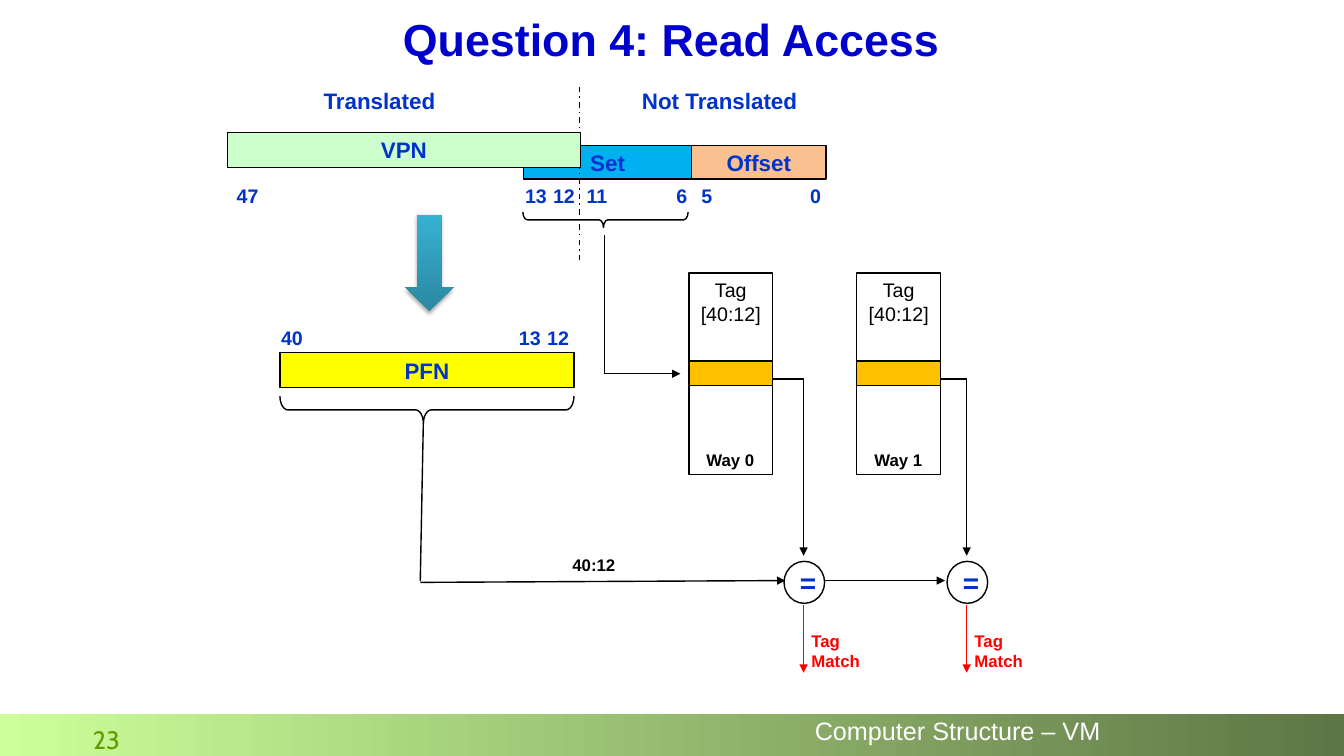
from lxml.etree import SubElement
from pptx import Presentation
from pptx.dml.color import RGBColor
from pptx.enum.dml import MSO_LINE
from pptx.enum.shapes import MSO_CONNECTOR, MSO_SHAPE
from pptx.enum.text import MSO_ANCHOR, MSO_AUTO_SIZE, PP_ALIGN
from pptx.oxml.ns import qn
from pptx.util import Pt

HUES = {
    "title": "0000CC", "blue": "0033CC", "black": "000000", "red": "FF0000",
    "white": "FFFFFF", "page": "669900", "offset": "FAC090", "set": "00B0F0",
    "vpn": "CCFFCC", "pfn": "FFFF00", "entry": "FFC000",
    "lime": "CCFF99", "moss": "5E7646", "teal": "2A88A2", "sky": "37B1D2",
}


def hue(name):
    """Return the named colour."""
    return RGBColor.from_string(HUES[name])


def assign(item, values):
    """Set each attribute of item from a dict."""
    for key, value in values.items():
        setattr(item, key, value)


class Board:
    """Holds the text style and the current slide."""

    base = {"name": "Arial", "bold": True}

    def __init__(self, slide):
        """Keep the slide to draw on."""
        self.slide = slide

    def letter(self, frame, text, size, color, align=PP_ALIGN.LEFT,
               space=None, **font):
        """Fill a text frame with styled paragraphs."""
        frame.text = text
        for para in frame.paragraphs:
            assign(para, {"alignment": align, "line_spacing": space})
            for run in para.runs:
                assign(run.font, {**self.base, "size": Pt(size), **font})
                run.font.color.rgb = hue(color)

    def title(self, text, *box):
        """Move and format the title placeholder."""
        head = self.slide.shapes.title
        assign(head, dict(zip(("left", "top", "width", "height"), map(Pt, box))))
        assign(head.text_frame, {
            "margin_left": 0, "margin_right": 0, "margin_top": 0,
            "margin_bottom": 0, "vertical_anchor": MSO_ANCHOR.MIDDLE,
            "word_wrap": True, "auto_size": MSO_AUTO_SIZE.NONE})
        self.letter(head.text_frame, text, 32, "title", PP_ALIGN.CENTER, 0.9)

    def label(self, text, x, y, w, h, size=14, color="blue", **style):
        """Add a text box that does not wrap."""
        box = self.slide.shapes.add_textbox(Pt(x), Pt(y), Pt(w), Pt(h))
        assign(box.text_frame, {"word_wrap": False,
                                "auto_size": MSO_AUTO_SIZE.SHAPE_TO_FIT_TEXT})
        self.letter(box.text_frame, text, size, color, **style)

    def shape(self, kind, x, y, w, h, fill=None, line="black"):
        """Add a preset shape, plain or with a (start, end, angle) blend."""
        item = self.slide.shapes.add_shape(kind, Pt(x), Pt(y), Pt(w), Pt(h))
        item.shadow.inherit = False
        if isinstance(fill, tuple):
            item.fill.gradient()
            item.fill.gradient_angle = fill[2]
            for stop, name in zip(item.fill.gradient_stops, fill):
                stop.color.rgb = hue(name)
        elif fill:
            item.fill.solid()
            item.fill.fore_color.rgb = hue(fill)
        else:
            item.fill.background()
        if line:
            item.line.color.rgb = hue(line)
            item.line.width = Pt(1)
        else:
            item.line.fill.background()
        return item

    def block(self, text, x, y, w, h, fill=None, size=16, color="blue",
              kind=MSO_SHAPE.RECTANGLE, anchor=MSO_ANCHOR.MIDDLE, **font):
        """Add a shape with centred text."""
        item = self.shape(kind, x, y, w, h, fill)
        item.text_frame.vertical_anchor = anchor
        self.letter(item.text_frame, text, size, color, PP_ALIGN.CENTER, **font)

    def brace(self, x, y, w, h):
        """Add a brace that opens upward and fills the given box."""
        item = self.shape(MSO_SHAPE.LEFT_BRACE, x + (w - h) / 2,
                          y + (h - w) / 2, h, w)
        item.rotation = 270
        item.adjustments[0], item.adjustments[1] = 0.289, 0.488

    def wire(self, *ends, color="black", head=True, dash=None):
        """Add a straight line, with an arrowhead at its end if asked."""
        item = self.slide.shapes.add_connector(
            MSO_CONNECTOR.STRAIGHT, *map(Pt, ends))
        item.line.color.rgb = hue(color)
        assign(item.line, {"width": Pt(1), "dash_style": dash})
        props = item._element.spPr
        if head:
            SubElement(props.find(qn("a:ln")), qn("a:tailEnd"), type="triangle")
        SubElement(props, qn("a:effectLst"))

    def shade(self, item):
        """Give a shape a soft shadow below it."""
        glow = SubElement(item._element.spPr.find(qn("a:effectLst")),
                          qn("a:outerShdw"), blurRad=str(Pt(3.1)),
                          dist=str(Pt(1.8)), dir="5400000", rotWithShape="0")
        tint = SubElement(glow, qn("a:srgbClr"), val=HUES["black"])
        SubElement(tint, qn("a:alpha"), val="35000")


def footer(board):
    """Draw the bottom bar and the page number."""
    bar = board.shape(MSO_SHAPE.RECTANGLE, 0, 510, 960, 30,
                      ("lime", "moss", 0), None)
    assign(bar.text_frame, {"margin_left": Pt(582), "margin_right": 0,
                            "margin_top": 0, "margin_bottom": Pt(2),
                            "vertical_anchor": MSO_ANCHOR.MIDDLE})
    board.letter(bar.text_frame, "Computer Structure – VM", 18, "white",
                 space=0.8, bold=False)
    board.label("23", 48, 516, 56, 27, 18, "page", align=PP_ALIGN.CENTER,
                space=0.9, name="Cabin", bold=False)


def address(board):
    """Draw the virtual address and its translation to a frame number."""
    board.block("Offset", 494, 104, 96, 24, "offset")
    board.block("Set", 374, 104, 120, 24, "set")
    board.wire(414, 186, 414, 60, head=False, dash=MSO_LINE.DASH_DOT)
    board.block("VPN", 162.5, 94.5, 252, 25, "vpn")
    board.label("Translated", 224, 58.5, 95, 27, 16)
    board.label("Not Translated", 451.5, 58.5, 127, 27, 16)
    bits = {127.5: {"47": 162, "13": 368, "12": 388, "11": 412,
                    "6": 476, "5": 494, "0": 571.7},
            229: {"40": 193.7, "13": 363.6, "12": 383.8}}
    for y, row in bits.items():
        for bit, x in row.items():
            board.label(bit, x, y, 30 if len(bit) > 1 else 22, 24.5)
    board.block("PFN", 200, 252, 210, 25, "pfn")
    arrow = board.shape(MSO_SHAPE.DOWN_ARROW, 289.4, 153.4, 34.6, 69,
                        ("teal", "sky", 90), None)
    board.shade(arrow)


def lookup(board):
    """Draw the paths from the address to the ways and comparators."""
    board.brace(373.5, 151.5, 118, 11)
    board.wire(432, 168, 432, 267, head=False)
    board.wire(432, 267, 486, 267)
    board.brace(200, 283, 210, 19.5)
    board.wire(302.4, 302.4, 300.2, 415, head=False)
    board.wire(300.2, 416, 561, 414.7)
    board.label("40:12", 401.8, 393, 45, 22, 12, "black")
    board.wire(588.5, 414.7, 675, 414.7)
    for way in range(2):
        left, mid = 492 + 120 * way, 574 + 116.5 * way
        board.block("Tag\n[40:12]", left, 195, 60, 144, None, 14, "black",
                    anchor=MSO_ANCHOR.TOP, bold=False)
        board.label(f"Way {way}", left + 5.5, 317.5, 49, 22, 12, "black")
        board.shape(MSO_SHAPE.RECTANGLE, left, 258, 60, 17.3, "entry")
        board.wire(left + 60, 270.7, mid, 270.7, head=False)
        board.wire(mid, 270.7, mid, 397)
        board.block("=", mid - 14, 401, 29, 30, None, 20, kind=MSO_SHAPE.OVAL)
        board.wire(mid, 432, mid, 480.5, color="red")
        board.label("Tag\nMatch", mid - 1.5, 447, 50, 36, 12, "red")


def main():
    """Build and save the slide."""
    deck = Presentation()
    assign(deck, {"slide_width": Pt(960), "slide_height": Pt(540)})
    board = Board(deck.slides.add_slide(deck.slide_layouts[5]))
    footer(board)
    board.title("Question 4: Read Access", 188.5, 12, 582, 36)
    address(board)
    lookup(board)
    deck.save("out.pptx")


main()
